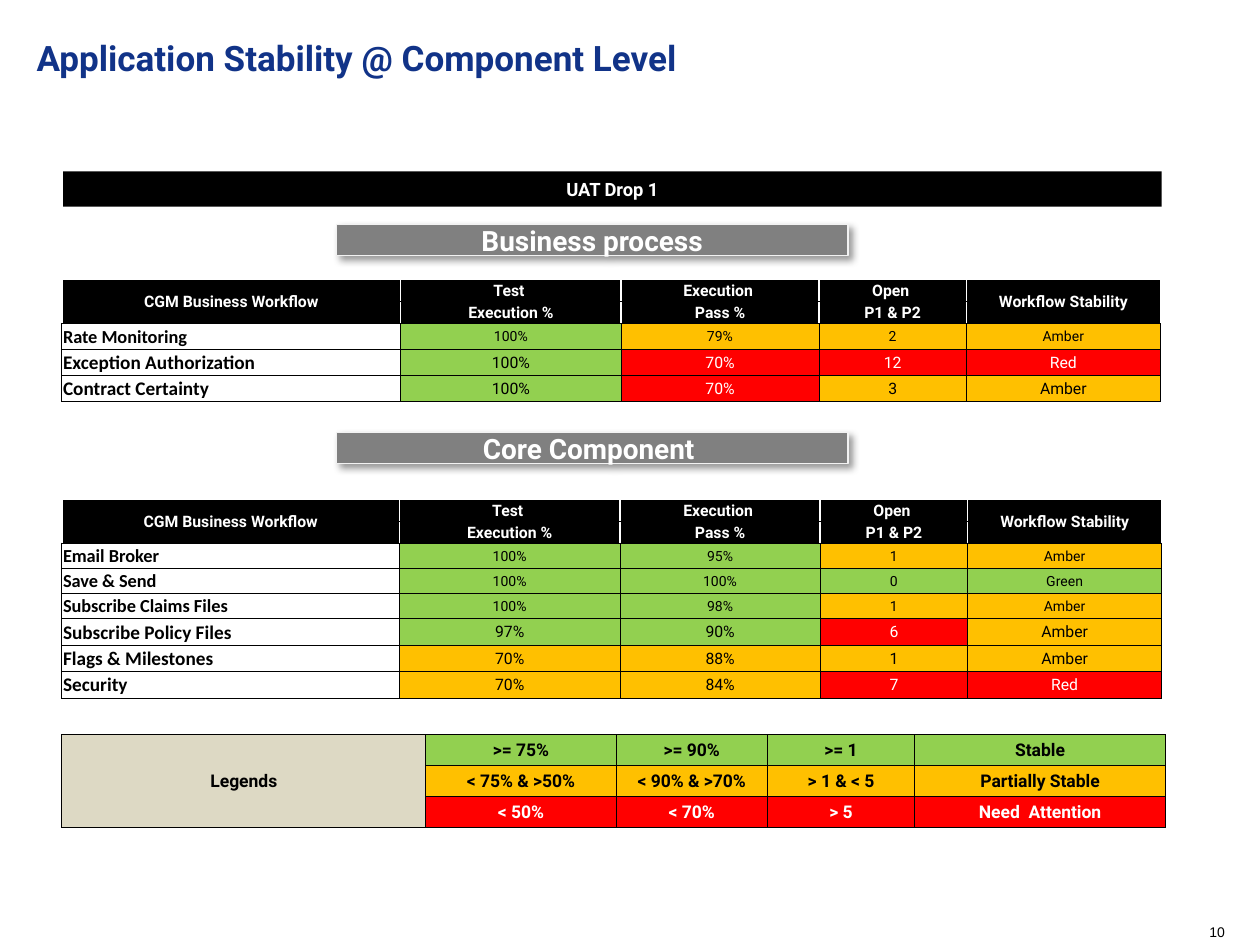
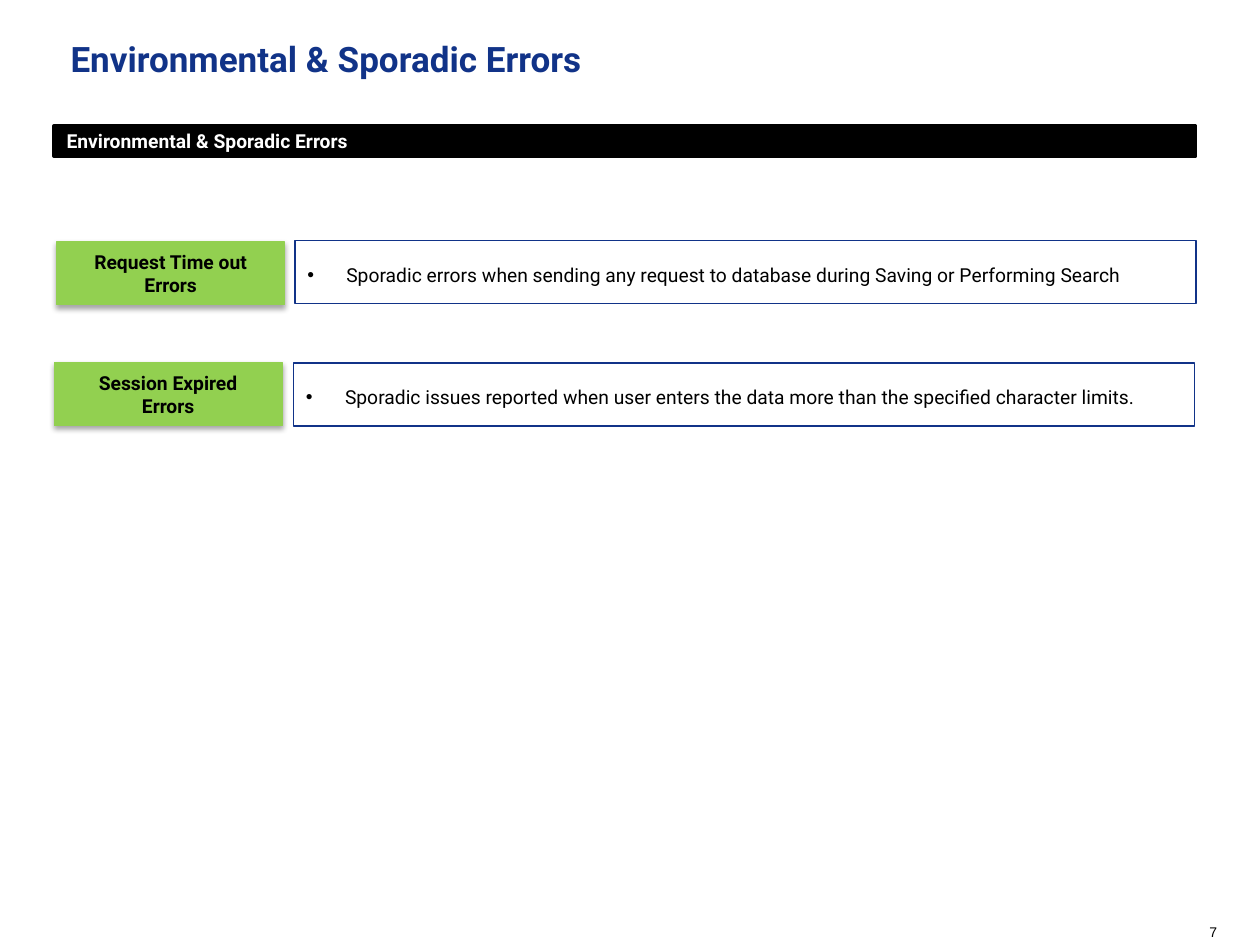
from pptx import Presentation as Deck
from pptx.dml.color import RGBColor as RGB
from pptx.enum.shapes import MSO_SHAPE as Kind
from pptx.enum.text import MSO_ANCHOR as Anchor, MSO_AUTO_SIZE as Fit, PP_ALIGN as Align
from pptx.oxml import parse_xml
from pptx.oxml.ns import nsdecls
from pptx.util import Inches, Pt

NAVY = RGB(0x11, 0x33, 0x88)
BLACK = RGB(0, 0, 0)
WHITE = RGB(0xFF, 0xFF, 0xFF)
GREY = RGB(0x80, 0x80, 0x80)
PALE = RGB(0xF2, 0xF2, 0xF2)
SAND = RGB(0xDD, 0xD9, 0xC4)
GREEN = RGB(0x92, 0xD0, 0x50)
AMBER = RGB(0xFF, 0xC0, 0x00)
RED = RGB(0xFF, 0x00, 0x00)
STATE = {"G": GREEN, "A": AMBER, "R": RED}

HEAD = [
    ["CGM Business Workflow", "Test ", "Execution ", "Open ", "Workflow Stability"],
    ["", "Execution %", "Pass %", "P1 & P2", ""],
]
FLOWS = [
    ("Rate Monitoring", "100% 79% 2 Amber", "GAAA", False),
    ("Exception Authorization", "100% 70% 12 Red", "GRRR", True),
    ("Contract Certainty", "100% 70% 3 Amber", "GRAA", True),
]
PARTS = [
    ("Email Broker", "100% 95% 1 Amber", "GGAA", False),
    ("Save & Send", "100% 100% 0 Green", "GGGG", False),
    ("Subscribe Claims Files", "100% 98% 1 Amber", "GGAA", False),
    ("Subscribe Policy Files", "97% 90% 6 Amber", "GGRA", True),
    ("Flags & Milestones", "70% 88% 1 Amber", "AAAA", True),
    ("Security", "70% 84% 7 Red", "AARR", True),
]
LEGEND = [
    ("G", [">= 75%", ">= 90%", ">= 1", "Stable"]),
    ("A", ["< 75% & >50%", "< 90% & >70%", "> 1 & < 5", "Partially Stable"]),
    ("R", ["< 50%", "< 70%", "> 5", "Need  Attention"]),
]


def put(item, **vals):
    for name, val in vals.items():
        setattr(item, name, val)


def ink(fill):
    return WHITE if fill in (RED, BLACK) else BLACK


class Page:
    font = "Roboto"

    def __init__(self, deck, title, spot, num):
        self.slide = deck.slides.add_slide(deck.slide_layouts[5])
        self.shapes = self.slide.shapes
        head = self.shapes.title
        self.place(head, spot)
        put(head.text_frame, vertical_anchor=Anchor.TOP, auto_size=Fit.NONE)
        self.label(head.text_frame, title, 20, NAVY, True)
        foot = self.shapes.add_textbox(*map(Inches, (9.5, 7.28, 0.44, 0.24)))
        foot.text_frame.word_wrap = True
        self.label(foot.text_frame, num, 8, face="Arial")

    def place(self, item, spot):
        names = ("left", "top", "width", "height")
        put(item, **dict(zip(names, map(Inches, spot))))

    def label(self, frame, text, size, color=BLACK, bold=False, align=Align.LEFT, face=None):
        frame.text = text
        for para in frame.paragraphs:
            para.alignment = align
            for run in para.runs:
                put(run.font, name=face or self.font, size=Pt(size), bold=bold)
                run.font.color.rgb = color

    def box(self, spot, text, size, fill, color=BLACK, line=None, bold=True, align=Align.CENTER):
        item = self.shapes.add_shape(Kind.RECTANGLE, *map(Inches, spot))
        item.shadow.inherit = False
        item.fill.solid()
        item.fill.fore_color.rgb = fill
        if line:
            item.line.color.rgb = line[0]
            item.line.width = Pt(line[1])
        else:
            item.line.fill.background()
        put(item.text_frame, word_wrap=True, vertical_anchor=Anchor.MIDDLE)
        self.label(item.text_frame, text, size, color, bold, align)
        return item

    def shade(self, item, alpha, blur, dist, angle):
        effect = item._element.spPr.find("{*}effectLst")
        effect.append(parse_xml(
            f'<a:outerShdw {nsdecls("a")} blurRad="{Pt(blur)}" dist="{Pt(dist)}" '
            f'dir="{angle * 60000}" algn="ctr" rotWithShape="0"><a:srgbClr val="000000">'
            f'<a:alpha val="{alpha * 1000}"/></a:srgbClr></a:outerShdw>'))

    def band(self, top, text):
        item = self.box((2.67, top, 4.06, 0.25), text, 16, GREY, WHITE, (PALE, 0.75))
        self.shade(item, 40, 4, 3, 45)

    def tag(self, left, top, text):
        item = self.box((left, top, 1.81, 0.5), text, 11, GREEN, line=(GREEN, 0.75))
        self.shade(item, 35, 3.1, 1.8, 90)

    def note(self, left, top, text):
        item = self.box((left, top, 7.15, 0.5), text, 11, WHITE, line=(NAVY, 1),
                        bold=False, align=Align.LEFT)
        para = item.text_frame.paragraphs[0]
        para.line_spacing = 1.25
        props = para._p.get_or_add_pPr()
        props.set("marL", str(Inches(0.31)))
        props.set("indent", str(-Inches(0.31)))
        props.append(parse_xml(f'<a:buFont {nsdecls("a")} typeface="Arial"/>'))
        props.append(parse_xml(f'<a:buChar {nsdecls("a")} char="•"/>'))

    def grid(self, top, cols, rows):
        spot = map(Inches, (0.49, top, sum(cols), sum(rows)))
        table = self.shapes.add_table(len(rows), len(cols), *spot).table
        put(table, first_row=False, horz_banding=False)
        for col, width in zip(table.columns, cols):
            col.width = Inches(width)
        for row, height in zip(table.rows, rows):
            row.height = Inches(height)
        return table

    def cell(self, cell, text, size, fill=None, white="", **style):
        edge = Inches(0.01)
        put(cell, margin_left=edge, margin_right=edge, margin_top=edge,
            margin_bottom=0, vertical_anchor=Anchor.MIDDLE)
        props = cell._tc.get_or_add_tcPr()
        for side in "LRTB":
            color, width = (WHITE, 1) if side in white else (BLACK, 0.5)
            props.append(parse_xml(
                f'<a:ln{side} {nsdecls("a")} w="{Pt(width)}"><a:solidFill>'
                f'<a:srgbClr val="{color}"/></a:solidFill></a:ln{side}>'))
        if fill is None:
            cell.fill.background()
        else:
            cell.fill.solid()
            cell.fill.fore_color.rgb = fill
        style = {"align": Align.CENTER, "color": ink(fill), **style}
        self.label(cell.text_frame, text, size, **style)

    def status(self, top, cols, data):
        rows = [0.35 / 2] * 2 + [0.21 if big else 0.2 for *_, big in data]
        table = self.grid(top, cols, rows)
        for col in (0, 4):
            table.cell(0, col).merge(table.cell(1, col))
        for r, texts in enumerate(HEAD):
            for c, text in enumerate(texts):
                self.cell(table.cell(r, c), text, 9, BLACK, ("LRT", "LR")[r], bold=True)
        for r, (name, vals, marks, big) in enumerate(data, 2):
            self.cell(table.cell(r, 0), name, 11 if big else 10.5, bold=True,
                      align=Align.LEFT, face="Calibri")
            for c, (val, mark) in enumerate(zip(vals.split(), marks), 1):
                self.cell(table.cell(r, c), val, 9 if big else 8, STATE[mark])

    def legend(self, top, cols):
        table = self.grid(top, cols, [0.74 / 3] * 3)
        table.cell(0, 0).merge(table.cell(2, 0))
        for r, (mark, texts) in enumerate(LEGEND):
            self.cell(table.cell(r, 0), "" if r else "Legends", 10, SAND, bold=True)
            for c, text in enumerate(texts, 1):
                self.cell(table.cell(r, c), text, 10, STATE[mark], bold=True)


def main():
    deck = Deck()
    put(deck, slide_width=Inches(10), slide_height=Inches(7.5))

    page = Page(deck, "Application Stability @ Component Level", (0.19, 0.24, 8.23, 0.8), "10")
    page.box((0.5, 1.36, 8.72, 0.28), "UAT Drop 1", 10.5, BLACK, WHITE)
    page.legend(5.83, [2.89, 1.51, 1.2, 1.17, 1.99])
    page.band(1.78, "Business process")
    page.status(2.22, [2.69, 1.75, 1.57, 1.17, 1.54], FLOWS)
    page.band(3.43, "Core Component ")
    page.status(3.96, [2.68, 1.75, 1.59, 1.17, 1.54], PARTS)

    name = "Environmental & Sporadic Errors"
    page = Page(deck, name, (0.46, 0.25, 7.58, 0.5), "7")
    page.box((0.43, 1, 9.06, 0.24), name, 11, BLACK, WHITE, (BLACK, 2), align=Align.LEFT)
    page.tag(0.45, 1.92, "Request Time out Errors")
    page.note(2.34, 1.91, "Sporadic errors when sending any request to database "
              "during Saving or Performing Search")
    page.tag(0.43, 2.88, "Session Expired\nErrors")
    page.note(2.33, 2.88, "Sporadic issues reported when user enters the data more "
              "than the specified character limits.")

    deck.save("out.pptx")


if __name__ == "__main__":
    main()
